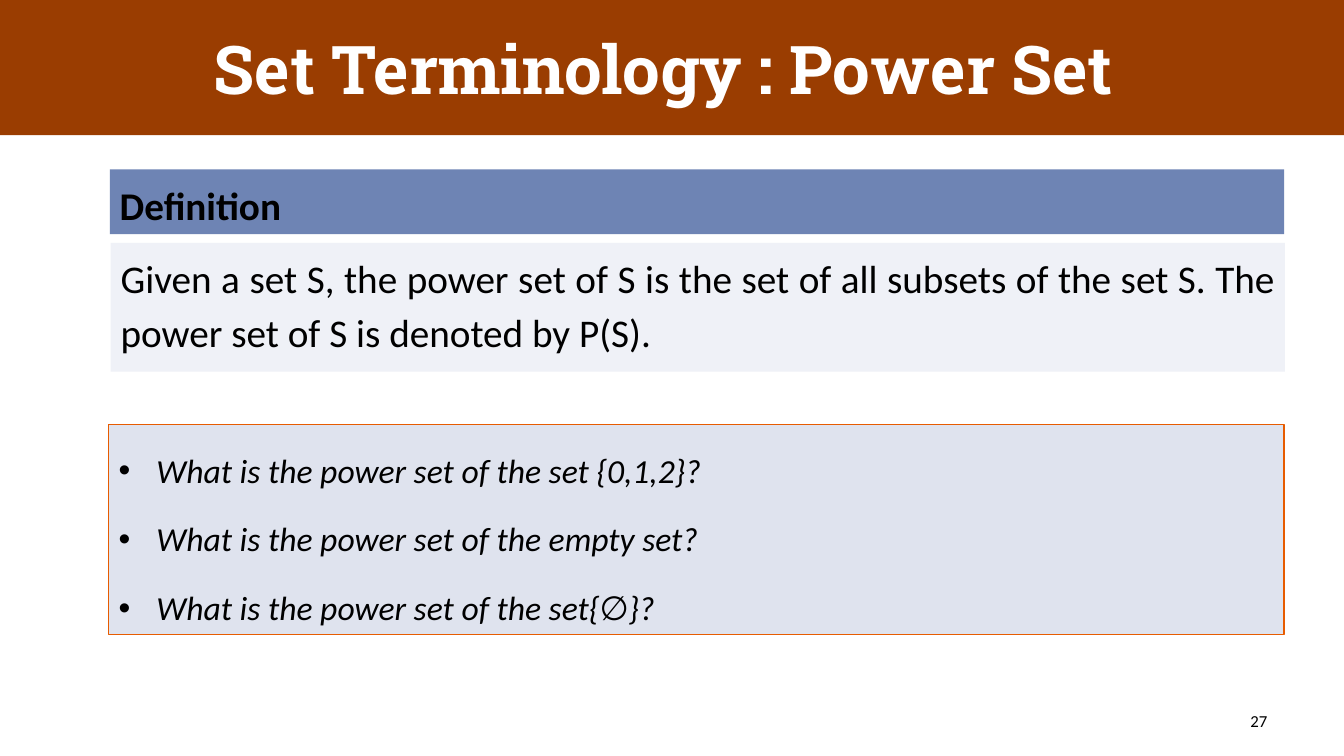
from dataclasses import dataclass

from lxml import etree
from pptx import Presentation
from pptx.dml.color import RGBColor
from pptx.enum.shapes import MSO_SHAPE
from pptx.enum.text import MSO_ANCHOR, MSO_AUTO_SIZE, PP_ALIGN
from pptx.oxml.ns import qn
from pptx.util import Pt

RECTANGLE = MSO_SHAPE.RECTANGLE
TOP, MIDDLE = MSO_ANCHOR.TOP, MSO_ANCHOR.MIDDLE
LEFT, CENTER = PP_ALIGN.LEFT, PP_ALIGN.CENTER
RIGHT, JUSTIFY = PP_ALIGN.RIGHT, PP_ALIGN.JUSTIFY
GROW = MSO_AUTO_SIZE.SHAPE_TO_FIT_TEXT

SLIDE_WIDTH, SLIDE_HEIGHT = 960, 540
BLANK_LAYOUT = 6
BULLET_INDENT = 27


@dataclass(frozen=True)
class Theme:
    title_font: str = "Roboto Slab"
    body_font: str = "Calibri"
    title_size: int = 48
    definition_size: int = 28
    question_size: int = 24
    number_size: int = 12
    title_fill: str = "9A3D01"
    heading_fill: str = "6E84B4"
    definition_fill: str = "EFF1F7"
    question_fill: str = "DFE3EE"
    question_line: str = "E75C01"
    light_text: str = "FFFFFF"
    dark_text: str = "000000"


THEME = Theme()


def rgb(value):
    return RGBColor.from_string(value)


def set_all(target, values):
    for name, value in values.items():
        setattr(target, name, value)


def add_panel(slide, box, fill, line=None):
    """Add a flat rectangle at box (left, top, width, height in points)."""
    shape = slide.shapes.add_shape(RECTANGLE, *map(Pt, box))
    shape.shadow.inherit = False
    shape.fill.solid()
    shape.fill.fore_color.rgb = rgb(fill)
    if line:
        shape.line.color.rgb = rgb(line)
        shape.line.width = Pt(0.75)
    else:
        shape.line.fill.background()
    return shape


def add_bullet(paragraph):
    properties = paragraph._p.get_or_add_pPr()
    properties.set("marL", str(Pt(BULLET_INDENT)))
    properties.set("indent", str(-Pt(BULLET_INDENT)))
    etree.SubElement(properties, qn("a:buFont")).set("typeface", "Arial")
    etree.SubElement(properties, qn("a:buChar")).set("char", "•")


def write(shape, lines, font, layout, anchor=TOP, bulleted=False):
    """Fill a shape with one paragraph per line, all formatted alike."""
    frame = shape.text_frame
    set_all(frame, {"word_wrap": True, "vertical_anchor": anchor})
    color = font.pop("color", THEME.dark_text)
    for index, line in enumerate(lines):
        paragraph = frame.add_paragraph() if index else frame.paragraphs[0]
        set_all(paragraph, layout)
        if bulleted:
            add_bullet(paragraph)
        run = paragraph.add_run()
        run.text = line
        set_all(run.font, {"name": THEME.body_font, **font})
        run.font.color.rgb = rgb(color)


def add_title(slide, box, text):
    font = {"name": THEME.title_font, "size": Pt(THEME.title_size),
            "bold": True, "color": THEME.light_text}
    write(add_panel(slide, box, THEME.title_fill), [text], font,
          {"alignment": CENTER}, MIDDLE)


def add_definition(slide, box, heading, body):
    """Place a heading bar at the top of the box and the wording below it."""
    left, top, width, height = box
    heading_height, gap = 46.2, 6.3
    body_top = heading_height + gap
    size = Pt(THEME.definition_size)
    bar = add_panel(slide, (left, top, width, heading_height), THEME.heading_fill)
    write(bar, [heading], {"size": size, "bold": True},
          {"alignment": LEFT, "line_spacing": 1.14})
    panel = add_panel(slide, (left + 0.7, top + body_top, width, height - body_top),
                      THEME.definition_fill)
    write(panel, [body], {"size": size},
          {"alignment": JUSTIFY, "line_spacing": 1.14})


def add_questions(slide, box, questions):
    panel = add_panel(slide, box, THEME.question_fill, THEME.question_line)
    write(panel, questions, {"size": Pt(THEME.question_size), "italic": True},
          {"alignment": LEFT, "line_spacing": 1.5, "space_after": Pt(6)},
          bulleted=True)
    panel.text_frame.auto_size = GROW


def add_slide_number(slide, box, number):
    shape = slide.shapes.add_textbox(*map(Pt, box))
    write(shape, [number], {"size": Pt(THEME.number_size)},
          {"alignment": RIGHT}, MIDDLE)


def main():
    presentation = Presentation()
    presentation.slide_width = Pt(SLIDE_WIDTH)
    presentation.slide_height = Pt(SLIDE_HEIGHT)
    slide = presentation.slides.add_slide(presentation.slide_layouts[BLANK_LAYOUT])
    add_title(slide, (0, 0, SLIDE_WIDTH, 96.5), "Set Terminology : Power Set ")
    add_slide_number(slide, (688.3, 500.5, 224, 28.8), "27")
    add_definition(
        slide, (78.4, 121, 838.8, 144.5), "Definition",
        "Given a set S, the power set of S is the set of all subsets of the set S. "
        "The power set of S is denoted by P(S).")
    add_questions(slide, (77.7, 303.1, 839.5, 150.2), [
        "What is the power set of the set {0,1,2}?",
        "What is the power set of the empty set?",
        "What is the power set of the set{∅}?",
    ])
    presentation.save("out.pptx")


if __name__ == "__main__":
    main()
